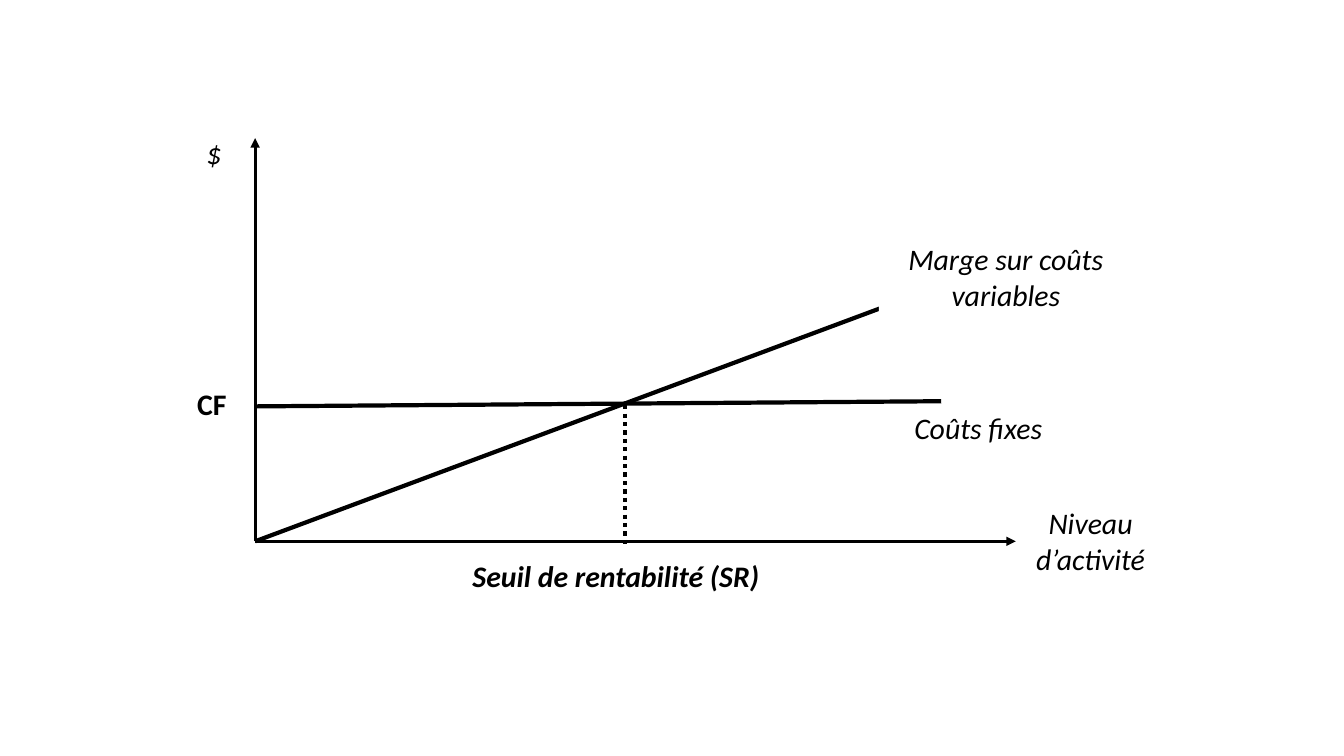
from lxml import etree
from pptx import Presentation
from pptx.dml.color import RGBColor
from pptx.enum.dml import MSO_LINE
from pptx.enum.shapes import MSO_CONNECTOR, MSO_SHAPE
from pptx.enum.text import MSO_ANCHOR, PP_ALIGN
from pptx.oxml.ns import qn
from pptx.util import Cm, Pt

STRAIGHT = MSO_CONNECTOR.STRAIGHT
RECT = MSO_SHAPE.RECTANGLE
DOTS = MSO_LINE.ROUND_DOT  # sysDot
TOP = MSO_ANCHOR.TOP
LEFT, CENTER = PP_ALIGN.LEFT, PP_ALIGN.CENTER

BLACK, WHITE = "000000", "FFFFFF"
FONT, SIZE = "Calibri", 21.3
ROW, ROWS = 1.17, 2.08  # heights of one-line and two-line labels
LEFT_X, BASE_Y = 6.43, 13.64  # where the axes meet
COST_Y = 10.24  # level of the fixed costs
BREAK_X = 15.75  # break-even point


def color(code):
    return RGBColor.from_string(code)


def draw_line(slide, start, end, width, arrow=False, dash=None):
    line = slide.shapes.add_connector(STRAIGHT, *map(Cm, start + end))
    line.line.color.rgb = color(BLACK)
    line.line.width = Pt(width)
    if dash is not None:
        line.line.dash_style = dash
    props = line._element.spPr
    if arrow:
        etree.SubElement(props.find(qn("a:ln")), qn("a:tailEnd"), type="triangle")
    etree.SubElement(props, qn("a:effectLst"))


def add_label(slide, text, box, bold=False, italic=True, align=CENTER, fill=None):
    area = [Cm(value) for value in box]
    if fill:
        label = slide.shapes.add_shape(RECT, *area)
        label.shadow.inherit = False
        label.fill.solid()
        label.fill.fore_color.rgb = color(fill)
        label.line.fill.background()
    else:
        label = slide.shapes.add_textbox(*area)
    frame = label.text_frame
    frame.word_wrap = True
    frame.vertical_anchor = TOP
    para = frame.paragraphs[0]
    para.text = text
    para.alignment = align
    font = para.font
    font.name, font.size = FONT, Pt(SIZE)
    font.bold, font.italic = bold, italic
    font.color.rgb = color(BLACK)


def main():
    deck = Presentation()
    deck.slide_width, deck.slide_height = Cm(33.87), Cm(19.05)
    slide = deck.slides.add_slide(deck.slide_layouts[6])
    origin, cost = (LEFT_X, BASE_Y), (LEFT_X, COST_Y)

    # Axes and their names
    draw_line(slide, origin, (LEFT_X, 3.48), 2.25, arrow=True)
    draw_line(slide, origin, (25.6, BASE_Y), 2.25, arrow=True)
    add_label(slide, "$", (4.55, 3.28, 1.68, ROW))
    add_label(slide, "Niveau d’activité", (25.35, 12.6, 4.27, ROWS))

    # Margin line, its end covered by the white label
    draw_line(slide, origin, (23.95, 7.11), 3)
    add_label(slide, "Marge sur coûts variables", (22.15, 5.94, 6.4, ROWS), fill=WHITE)

    # Fixed costs and break-even point
    draw_line(slide, cost, (23.72, 10.11), 3)
    draw_line(slide, (BREAK_X, 10.21), (BREAK_X, 13.72), 3, dash=DOTS)
    add_label(slide, "Seuil de rentabilité (SR)", (10.95, 13.94, 9.14, ROW), bold=True)
    draw_line(slide, cost, (9.63, COST_Y), 1.5)
    add_label(slide, "CF", (4.72, 9.6, 2.21, ROW), bold=True, italic=False, align=LEFT)
    add_label(slide, "Coûts fixes", (21.34, 10.21, 6.63, ROW))

    deck.save("out.pptx")


if __name__ == "__main__":
    main()
